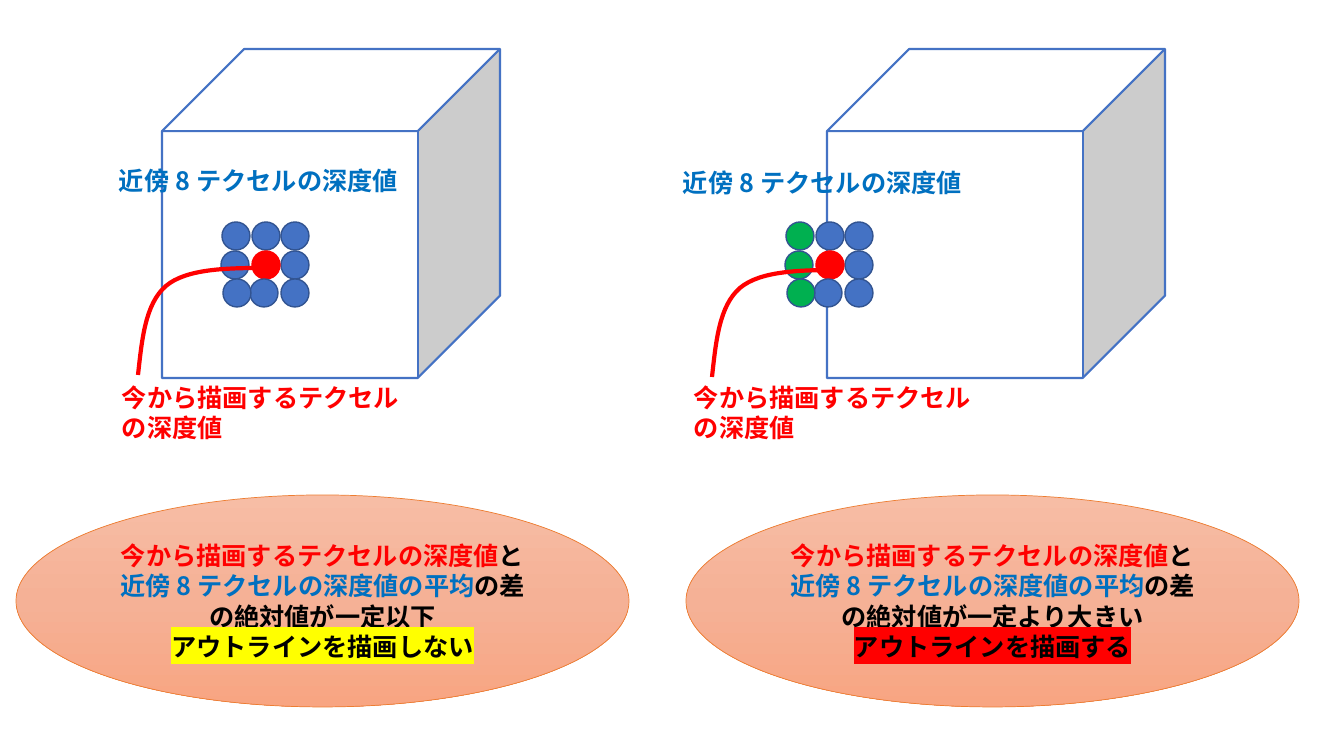
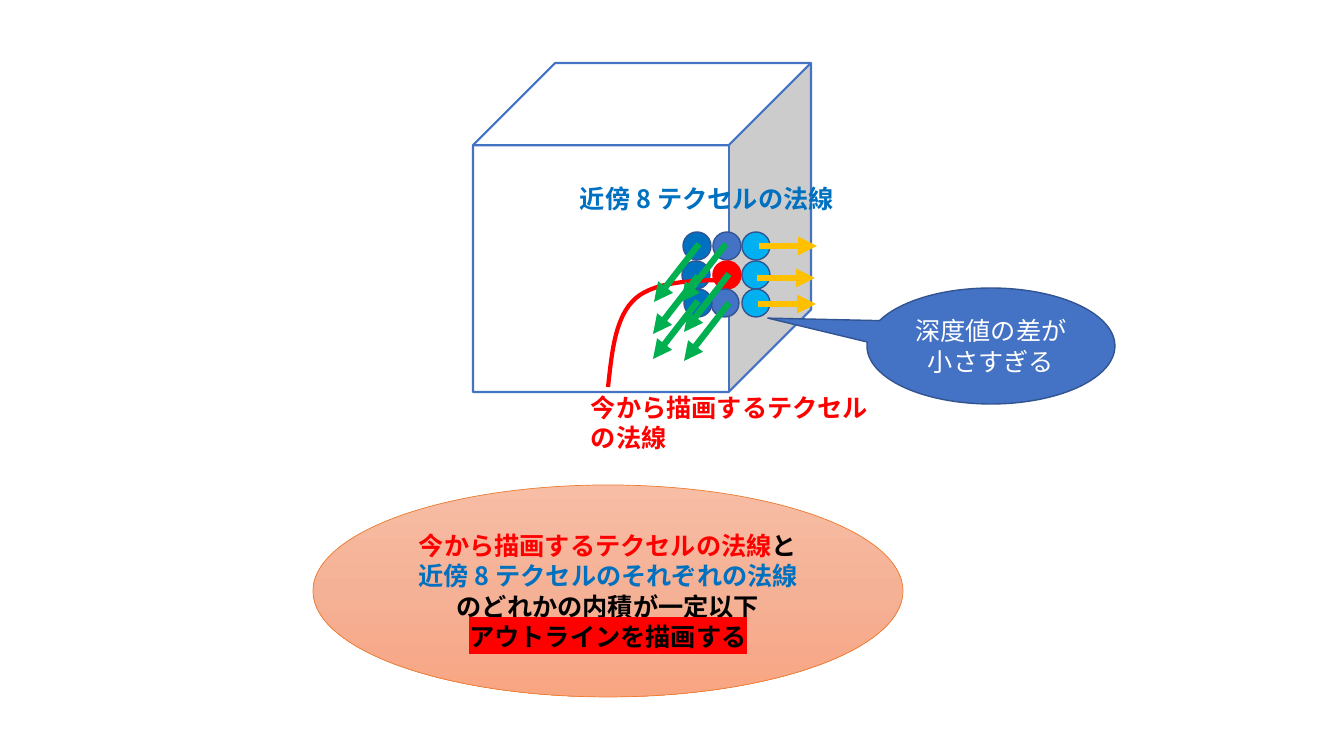
from copy import deepcopy

from lxml import etree
from pptx import Presentation
from pptx.dml.color import RGBColor
from pptx.enum.shapes import MSO_CONNECTOR, MSO_SHAPE
from pptx.enum.text import MSO_ANCHOR, MSO_AUTO_SIZE, PP_ALIGN
from pptx.oxml.ns import qn
from pptx.util import Emu, Pt

CUBE, OVAL, CALLOUT = MSO_SHAPE.CUBE, MSO_SHAPE.OVAL, MSO_SHAPE.OVAL_CALLOUT
STRAIGHT = MSO_CONNECTOR.STRAIGHT
LEFT, CENTER = PP_ALIGN.LEFT, PP_ALIGN.CENTER
MIDDLE, GROW = MSO_ANCHOR.MIDDLE, MSO_AUTO_SIZE.SHAPE_TO_FIT_TEXT

FONT, FONT_SIZE = "Noto Sans CJK JP", 18
WHITE = RGBColor(0xFF, 0xFF, 0xFF)
BLACK = RGBColor(0x00, 0x00, 0x00)
RED = RGBColor(0xFF, 0x00, 0x00)
YELLOW = RGBColor(0xFF, 0xFF, 0x00)
GREEN = RGBColor(0x00, 0xB0, 0x50)
AMBER = RGBColor(0xFF, 0xC0, 0x00)
ORANGE = RGBColor(0xED, 0x7D, 0x31)
BLUE = RGBColor(0x44, 0x72, 0xC4)
DARK_BLUE = RGBColor(0x32, 0x54, 0x91)
TEXT_BLUE = RGBColor(0x00, 0x70, 0xC0)
SKY = RGBColor(0x00, 0xB0, 0xF0)
PEACH = ((0, RGBColor(0xF7, 0xBD, 0xA5)), (0.5, RGBColor(0xF5, 0xB1, 0x96)),
         (1, RGBColor(0xF8, 0xA5, 0x82)))

# Offsets from the centre texel, column by column from the right
TEXEL_SIZE = 28
TEXEL_ROWS = (-29, 0, 28)
TEXEL_COLUMNS = ((29, 29, 29), (0, 0, -2), (-30, -31, -29))
# Bezier points of a pointer, from its lower end
POINTER = ((4, -35), (7, -71), (28, -89), (48, -106), (88, -107), (126, -107))


def px(length):
    return Emu(round(length * 914400 / 100.8))


class Diagram:
    def __init__(self):
        self.deck = Presentation()
        self.deck.slide_width, self.deck.slide_height = px(1344), px(756)
        self.shapes = None

    def new_slide(self):
        self.shapes = self.deck.slides.add_slide(self.deck.slide_layouts[6]).shapes

    def shape(self, kind, box, fill, line, weight):
        shape = self.shapes.add_shape(kind, *map(px, box))
        shape.shadow.inherit = False
        if fill is not None:
            shape.fill.solid()
            shape.fill.fore_color.rgb = fill
        shape.line.color.rgb = line
        shape.line.width = Pt(weight)
        return shape

    def run(self, paragraph, text, color, bold=True, highlight=None):
        run = paragraph.add_run()
        run.text = text
        font = run.font
        font.name, font.size, font.bold = FONT, Pt(FONT_SIZE), bold
        font.color.rgb = color
        props = run._r.get_or_add_rPr()
        east_asian = etree.Element(qn("a:ea"), typeface=FONT)
        props.find(qn("a:latin")).addnext(east_asian)
        if highlight is not None:
            mark = etree.Element(qn("a:highlight"))
            etree.SubElement(mark, qn("a:srgbClr"), val=str(highlight))
            props.find(qn("a:solidFill")).addnext(mark)

    def fill_text(self, shape, paragraphs, align):
        frame = shape.text_frame
        frame.word_wrap = True
        for index, runs in enumerate(paragraphs):
            paragraph = frame.add_paragraph() if index else frame.paragraphs[0]
            paragraph.alignment = align
            for run in runs:
                self.run(paragraph, *run)
        return frame

    def label(self, left, top, height, text, color):
        box = self.shapes.add_textbox(px(left), px(top), px(310), px(height))
        self.fill_text(box, [[(text, color)]], LEFT).auto_size = GROW

    def cube(self, left, top):
        self.shape(CUBE, (left, top, 338, 329), WHITE, BLUE, 1.5)

    def texels(self, left, top, column_colors):
        """Draws the 3 x 3 texels; left and top belong to the centre one."""
        for column, color in zip(TEXEL_COLUMNS, column_colors):
            for dx, dy in zip(column, TEXEL_ROWS):
                box = (left + dx, top + dy, TEXEL_SIZE, TEXEL_SIZE)
                if dx == dy == 0:
                    self.shape(OVAL, box, RED, RED, 1)
                else:
                    self.shape(OVAL, box, color, DARK_BLUE, 1)

    def pointer(self, x, y):
        builder = self.shapes.build_freeform(px(x), px(y))
        builder.add_line_segments([(px(x + dx), px(y + dy)) for dx, dy in POINTER],
                                  close=False)
        curve = builder.convert_to_shape()
        curve.shadow.inherit = False
        curve.fill.background()
        curve.line.color.rgb = RED
        curve.line.width = Pt(3)
        # Every three straight segments become one Bezier segment
        segments = list(curve._element.iter(qn("a:lnTo")))
        for first in range(0, len(segments), 3):
            bezier = etree.Element(qn("a:cubicBezTo"))
            segments[first].addprevious(bezier)
            for segment in segments[first:first + 3]:
                bezier.append(segment[0])
                segment.getparent().remove(segment)

    def conclusion(self, left, top, width, runs, verdict, highlight):
        oval = self.shape(OVAL, (left, top, width, 212), None, ORANGE, 0.5)
        oval.fill.gradient()
        oval.fill.gradient_angle = 270
        stops = next(oval._element.iter(qn("a:gsLst")))
        stops.insert(1, deepcopy(stops[0]))
        for stop, (position, color) in zip(oval.fill.gradient_stops, PEACH):
            stop.position = position
            stop.color.rgb = color
        paragraphs = [runs, [(verdict, BLACK, True, highlight)]]
        self.fill_text(oval, paragraphs, CENTER).vertical_anchor = MIDDLE

    def callout(self, box, tip, text):
        bubble = self.shape(CALLOUT, box, BLUE, DARK_BLUE, 1)
        bubble.adjustments[0], bubble.adjustments[1] = tip
        paragraphs = [[(text, WHITE, False)]]
        self.fill_text(bubble, paragraphs, CENTER).vertical_anchor = MIDDLE

    def arrow(self, x, y, dx, dy, color):
        arrow = self.shapes.add_connector(STRAIGHT, px(x), px(y), px(x + dx), px(y + dy))
        arrow.line.color.rgb = color
        arrow.line.width = Pt(4.5)
        props = arrow._element.spPr
        etree.SubElement(props.find(qn("a:ln")), qn("a:tailEnd"), type="triangle")
        etree.SubElement(props, qn("a:effectLst"))


diagram = Diagram()

# Slide 1: depth test, inside a face and across the silhouette
DEPTH_CASES = (
    dict(cube=162, texel=252, columns=(BLUE, BLUE, BLUE), own=(112, 377),
         near=(109, 160), pointer=(138, 375), oval=16,
         condition="の差の絶対値が一定以下", verdict="アウトラインを描画しない", mark=YELLOW),
    dict(cube=827, texel=816, columns=(BLUE, BLUE, GREEN), own=(684, 377),
         near=(673, 162), pointer=(712, 377), oval=686,
         condition="の差の絶対値が一定より大きい", verdict="アウトラインを描画する", mark=RED),
)
OWN_DEPTH, NEAR_DEPTH = "今から描画するテクセルの深度値", "近傍8テクセルの深度値"
diagram.new_slide()
for case in DEPTH_CASES:
    diagram.cube(case["cube"], 49)
    diagram.texels(case["texel"], 251, case["columns"])
    diagram.label(*case["own"], 72, OWN_DEPTH, RED)
    diagram.label(*case["near"], 40, NEAR_DEPTH, TEXT_BLUE)
    diagram.conclusion(case["oval"], 495, 613,
                       [(OWN_DEPTH, RED), ("と", BLACK),
                        (NEAR_DEPTH + "の平均", TEXT_BLUE), (case["condition"], BLACK)],
                       case["verdict"], case["mark"])
    diagram.pointer(*case["pointer"])

# Slide 2: normal test at an inner edge
OWN_NORMAL = "今から描画するテクセルの法線"
diagram.new_slide()
diagram.cube(473, 63)
diagram.texels(713, 261, (SKY, BLUE, TEXT_BLUE))
diagram.label(581, 387, 72, OWN_NORMAL, RED)
diagram.label(570, 178, 40, "近傍8テクセルの法線", TEXT_BLUE)
diagram.pointer(608, 387)
diagram.conclusion(313, 485, 590,
                   [(OWN_NORMAL, RED), ("と", BLACK),
                    ("近傍8テクセルのそれぞれの法線", TEXT_BLUE),
                    ("のどれかの内積が一定以下", BLACK)],
                   "アウトラインを描画する", RED)
diagram.callout((867, 288, 248, 116), (-0.9, -0.24), "深度値の差が小さすぎる")

# Normals of the front face and of the side face
for x, y in ((729, 274), (729, 303), (698, 301), (698, 276), (699, 244), (726, 244)):
    diagram.arrow(x, y, -45, 58, GREEN)
for x, y in ((759, 246), (757, 278), (758, 304)):
    diagram.arrow(x, y, 58, 0, AMBER)

diagram.deck.save("out.pptx")
